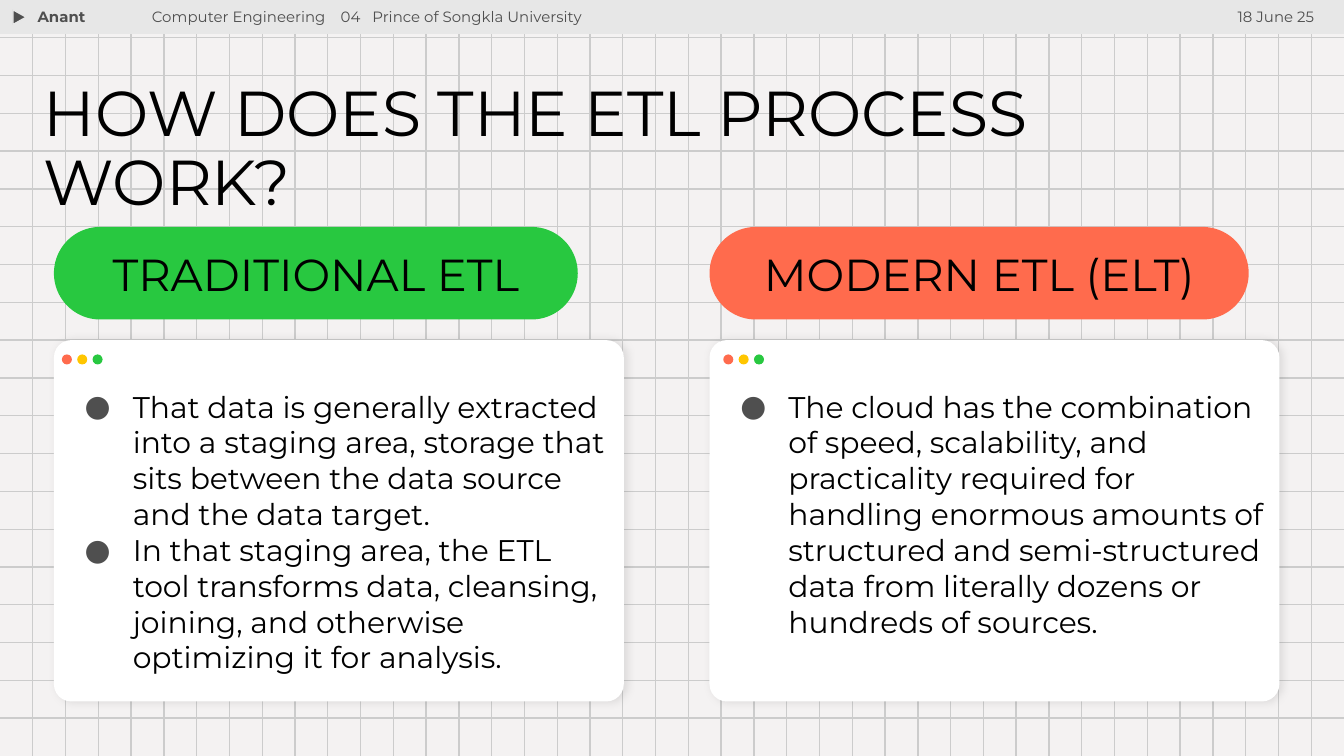
from lxml import etree
from pptx import Presentation
from pptx.dml.color import RGBColor
from pptx.enum import shapes, text
from pptx.oxml import ns
from pptx.util import Cm, Pt

# Content
TITLE = "HOW DOES THE ETL PROCESS WORK?"
COLUMNS = [
    {"heading": "TRADITIONAL ETL", "accent": "green",
     "left": 1.02, "pill_width": 9.9, "dots_left": 1.17,
     "points": [
         "That data is generally extracted into a staging area, storage that "
         "sits between the data source and the data target.",
         "In that staging area, the ETL tool transforms data, cleansing, "
         "joining, and otherwise optimizing it for analysis."]},
    {"heading": "MODERN ETL (ELT)", "accent": "red",
     "left": 13.41, "pill_width": 10.19, "dots_left": 13.67,
     "points": [
         "The cloud has the combination of speed, scalability, and "
         "practicality required for handling enormous amounts of structured "
         "and semi-structured data from literally dozens or hundreds of "
         "sources."]},
]
# Header: text, left, width, bold, alignment, tab stops
HEADER = [
    ("Anant", 0.46, 3.25, True, text.PP_ALIGN.LEFT, ()),
    ("Computer Engineering\t04\tPrince of Songkla University",
     2.62, 10.59, False, text.PP_ALIGN.LEFT, (3.57, 4.17)),
    ("18 June 25", 20.85, 4.24, False, text.PP_ALIGN.RIGHT, ()),
]

THEME = {
    "font": "Montserrat",
    "size": {"title": 34, "heading": 24, "body": 16, "header": 8},
    "color": {"paper": "F4F2F2", "grid": "CCCCCC", "bar": "E7E7E7",
              "grey": "4F4F4F", "ink": "000000", "card": "FFFFFF",
              "red": "FF6B4D", "yellow": "FFC600", "green": "28C840"},
}
WIDTH, HEIGHT = 25.4, 14.29
GRID_COLS, GRID_ROWS = 41, 20
CARD_TOP, CARD_WIDTH, CARD_HEIGHT = 6.43, 10.77, 6.83
DOT, DOT_PITCH = 0.19, 0.29
SHAPE = shapes.MSO_SHAPE


def color(name):
    return RGBColor.from_string(THEME["color"][name])


def box(left, top, width, height):
    return [Cm(v) for v in (left, top, width, height)]


def add_xml(parent, tag, **attrs):
    return etree.SubElement(parent, ns.qn(tag), attrs)


def add_shape(kind, area, fill, radius=None):
    sp = slide.shapes.add_shape(kind, *box(*area))
    sp.shadow.inherit = False
    sp.fill.solid()
    sp.fill.fore_color.rgb = color(fill)
    sp.line.fill.background()
    if radius is not None:
        sp.adjustments[0] = radius
    return sp


def add_line(x1, y1, x2, y2):
    line = slide.shapes.add_connector(
        shapes.MSO_CONNECTOR.STRAIGHT, *box(x1, y1, x2, y2))
    line.line.color.rgb = color("grid")
    line.line.width = Pt(0.75)
    add_xml(line.element.spPr, "a:effectLst")


def write(sp, lines, size, ink="ink", bold=False, align=text.PP_ALIGN.LEFT,
          anchor=text.MSO_ANCHOR.TOP, bullets=False, spacing=1.0, tabs=()):
    tf = sp.text_frame
    tf.word_wrap = True
    tf.auto_size = text.MSO_AUTO_SIZE.NONE
    tf.vertical_anchor = anchor
    tf.margin_left = tf.margin_right = Cm(0.25)
    tf.margin_top = tf.margin_bottom = Cm(0.25)
    tf.text = "\n".join(lines)
    for p in tf.paragraphs:
        pPr = p._p.get_or_add_pPr()
        if bullets:
            pPr.set("marL", str(Cm(1.27)))
            pPr.set("indent", str(-Cm(0.91)))
            add_xml(add_xml(pPr, "a:buClr"), "a:srgbClr",
                    val=THEME["color"]["grey"])
            add_xml(pPr, "a:buFont", typeface=THEME["font"])
            add_xml(pPr, "a:buChar", char="●")
        if tabs:
            tab_list = add_xml(pPr, "a:tabLst")
            for stop in tabs:
                add_xml(tab_list, "a:tab", pos=str(Cm(stop)), algn="l")
        p.alignment = align
        p.line_spacing = spacing
        p.space_before = Pt(0)
        for r in p.runs:
            r.font.name = THEME["font"]
            r.font.size = Pt(THEME["size"][size])
            r.font.bold = bold
            r.font.color.rgb = color(ink)


def place(sp, area):
    """Move a placeholder into its area, in front of what is drawn so far."""
    sp.left, sp.top, sp.width, sp.height = box(*area)
    sp.element.getparent().append(sp.element)


prs = Presentation()
prs.slide_width, prs.slide_height = Cm(WIDTH), Cm(HEIGHT)
slide = prs.slides.add_slide(prs.slide_layouts.get_by_name("Two Content"))
title, *bodies = slide.placeholders
slide.background.fill.solid()
slide.background.fill.fore_color.rgb = color("paper")

# Grid paper
for row in range(1, GRID_ROWS):
    y = HEIGHT * row / GRID_ROWS
    add_line(0, y, WIDTH, y)
for col in range(1, GRID_COLS):
    x = WIDTH * col / GRID_COLS
    add_line(x, 0, x, HEIGHT)

# Header bar
add_shape(SHAPE.RECTANGLE, (0, 0, WIDTH, 0.64), "bar")
marker = add_shape(SHAPE.ISOSCELES_TRIANGLE, (0.23, 0.2, 0.28, 0.25), "grey")
marker.rotation = 90
marker.line.color.rgb = color("bar")
marker.line.width = Pt(0.75)
for label, left, width, bold, align, tabs in HEADER:
    tb = slide.shapes.add_textbox(*box(left, -0.1, width, 0.86))
    write(tb, [label], "header", "grey", bold, align, tabs=tabs)

# Title
place(title, (0.58, 1.3, 23.9, 1.83))
write(title, [TITLE], "title", spacing=0.9)

# Columns: window card with dots, bullet list, heading pill
for column, body in zip(COLUMNS, bodies):
    left = column["left"]
    card = add_shape(SHAPE.ROUNDED_RECTANGLE,
                     (left, CARD_TOP, CARD_WIDTH, CARD_HEIGHT), "card", 0.048)
    effects = card.element.spPr.find(ns.qn("a:effectLst"))
    shadow = add_xml(effects, "a:outerShdw", blurRad=str(Pt(4.5)),
                     dist=str(Pt(1.5)), dir="0", rotWithShape="0")
    add_xml(add_xml(shadow, "a:srgbClr", val=THEME["color"]["ink"]),
            "a:alpha", val="10000")
    for i, name in enumerate(("red", "yellow", "green")):
        x = column["dots_left"] + i * DOT_PITCH
        add_shape(SHAPE.OVAL, (x, 6.7, DOT, DOT), name)

    place(body, (left - 0.03, 7.09, 10.82, 6))
    write(body, column["points"], "body", bullets=True)

    pill = add_shape(SHAPE.ROUNDED_RECTANGLE,
                     (left, 4.29, column["pill_width"], 1.75),
                     column["accent"], 0.5)
    write(pill, [column["heading"]], "heading", align=text.PP_ALIGN.CENTER,
          anchor=text.MSO_ANCHOR.MIDDLE)

prs.save("out.pptx")
